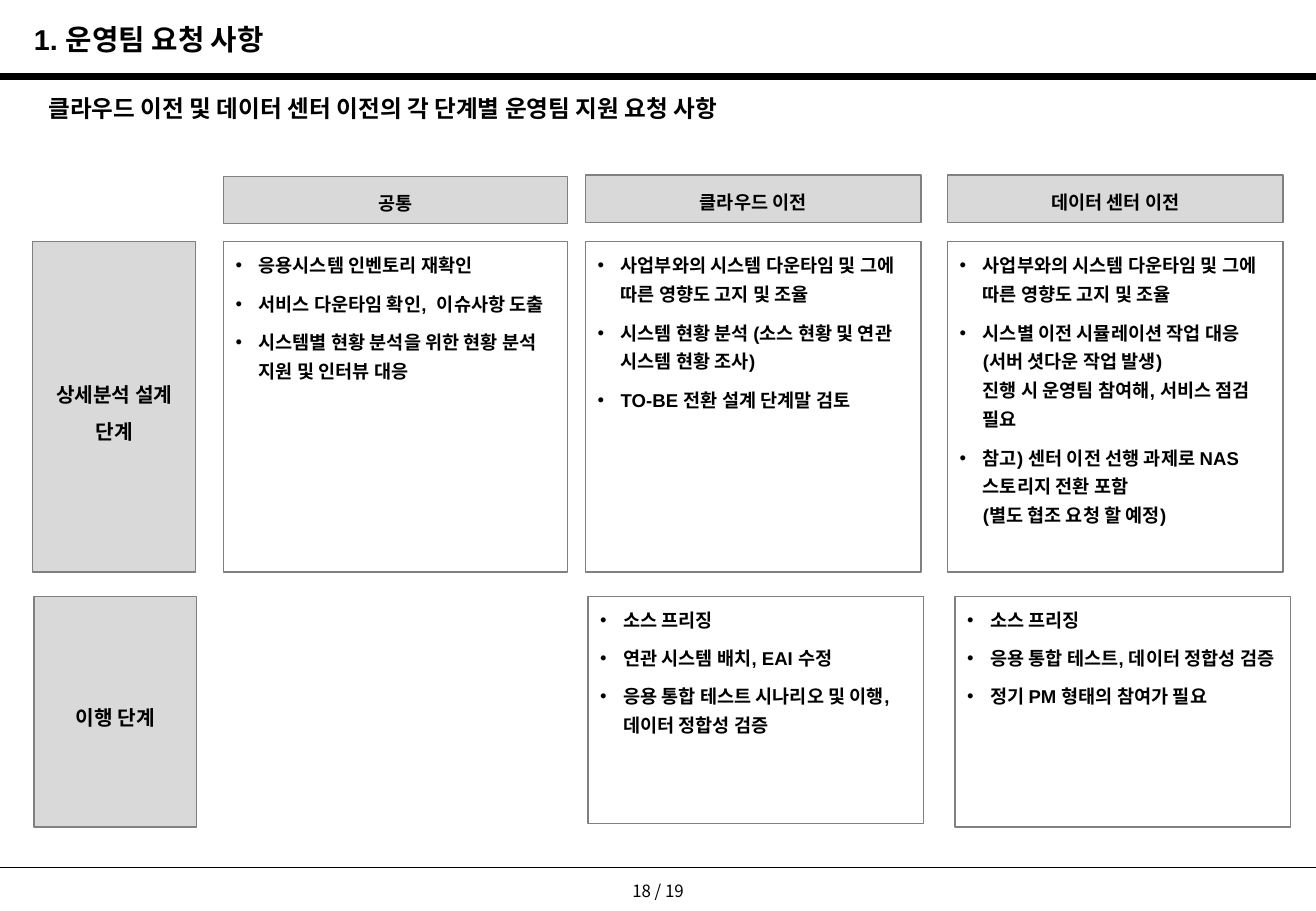
from lxml.etree import SubElement
from pptx import Presentation
from pptx.dml.color import RGBColor
from pptx.enum.shapes import MSO_CONNECTOR, MSO_SHAPE
from pptx.enum.text import MSO_ANCHOR, PP_ALIGN
from pptx.oxml import parse_xml
from pptx.oxml.ns import nsdecls, qn
from pptx.util import Inches, Pt

COLORS = {"text": "000000", "border": "808080", "header": "D9D9D9", "body": "FFFFFF"}
KOREAN = "Noto Sans CJK KR"


def write(tf, lines, size, font="Arial", bold=True, align=PP_ALIGN.LEFT,
          spacing=None, before=0, bullets=False):
    """Fill a text frame with one equally styled paragraph per line."""
    tf.word_wrap = True
    for i, line in enumerate(lines):
        p = tf.add_paragraph() if i else tf.paragraphs[0]
        p.text = line
        p.alignment = align
        p.space_before = Pt(before)
        if spacing:
            p.line_spacing = spacing
        p.font.size = Pt(size)
        p.font.bold = bold
        p.font.color.rgb = RGBColor.from_string(COLORS["text"])
        p.font.name = font
        pPr = p._p.get_or_add_pPr()
        defaults = pPr.find(qn("a:defRPr"))
        SubElement(defaults, qn("a:ea"), typeface=KOREAN)
        if bullets:
            pPr.set("marL", str(Inches(0.19)))
            pPr.set("indent", str(Inches(-0.19)))
            defaults.addprevious(parse_xml(f'<a:buFont {nsdecls("a")} typeface="Arial"/>'))
            defaults.addprevious(parse_xml(f'<a:buChar {nsdecls("a")} char="•"/>'))


def add_box(left, top, width, height, fill):
    """Add a grey-bordered rectangle and return its text frame."""
    sp = s.shapes.add_shape(MSO_SHAPE.RECTANGLE, Inches(left), Inches(top),
                            Inches(width), Inches(height))
    sp.shadow.inherit = False
    sp.fill.solid()
    sp.fill.fore_color.rgb = RGBColor.from_string(COLORS[fill])
    sp.line.color.rgb = RGBColor.from_string(COLORS["border"])
    sp.line.width = Pt(0.75)
    return sp.text_frame


prs = Presentation()
prs.slide_width, prs.slide_height = Inches(10.83), Inches(7.5)
s = prs.slides.add_slide(prs.slide_layouts[6])

# Rules under the title and above the page number
for y, weight in [(0.63, 4.5), (7.14, 0.75)]:
    rule = s.shapes.add_connector(MSO_CONNECTOR.STRAIGHT, 0, Inches(y),
                                  prs.slide_width, Inches(y))
    rule.line.color.rgb = RGBColor.from_string(COLORS["text"])
    rule.line.width = Pt(weight)
    SubElement(rule._element.spPr, qn("a:effectLst"))

# Title, subtitle and page number
texts = [
    ((0.18, 0.13, 2.32, 0.39), "1. 운영팀 요청 사항", dict(size=17)),
    ((0.3, 0.72, 10.32, 0.51),
     "클라우드 이전 및 데이터 센터 이전의 각 단계별 운영팀 지원 요청 사항",
     dict(size=14, font=KOREAN, before=2.8)),
    ((4.95, 7.2, 0.93, 0.27), "18 / 19",
     dict(size=10, font=KOREAN, bold=False, align=PP_ALIGN.CENTER, before=5)),
]
for place, text, style in texts:
    tf = s.shapes.add_textbox(*map(Inches, place)).text_frame
    write(tf, [text], **style)
    if text.startswith("1."):
        tf.word_wrap = False

# Column headers and stage labels
labels = [
    ((1.84, 1.45, 2.83, 0.39), "공통", 11, 1.3),
    ((4.82, 1.44, 2.76, 0.39), "클라우드 이전", 11, 1.3),
    ((7.8, 1.44, 2.76, 0.39), "데이터 센터 이전", 11, 1.3),
    ((0.27, 1.99, 1.34, 2.72), "상세분석 설계 단계", 12, 1.5),
    ((0.28, 4.91, 1.34, 1.9), "이행 단계", 12, 1.5),
]
for place, text, size, spacing in labels:
    tf = add_box(*place, "header")
    tf.vertical_anchor = MSO_ANCHOR.MIDDLE
    write(tf, [text], size, align=PP_ALIGN.CENTER, spacing=spacing, before=size / 2)

# Requests for each stage and column
downtime = "사업부와의 시스템 다운타임 및 그에 따른 영향도 고지 및 조율"
requests = [
    ((1.84, 1.99, 2.83, 2.72), [
        "응용시스템 인벤토리 재확인",
        "서비스 다운타임 확인,  이슈사항 도출",
        "시스템별 현황 분석을 위한 현황 분석 지원 및 인터뷰 대응"]),
    ((4.82, 1.99, 2.76, 2.72), [
        downtime,
        "시스템 현황 분석 (소스 현황 및 연관 시스템 현황 조사)",
        "TO-BE 전환 설계 단계말 검토"]),
    ((7.8, 1.99, 2.76, 2.72), [
        downtime,
        "시스별 이전 시뮬레이션 작업 대응 (서버 셧다운 작업 발생)\n"
        "진행 시 운영팀 참여해, 서비스 점검 필요",
        "참고) 센터 이전 선행 과제로 NAS 스토리지 전환 포함\n(별도 협조 요청 할 예정)"]),
    ((4.84, 4.91, 2.76, 1.87), [
        "소스 프리징",
        "연관 시스템 배치, EAI 수정",
        "응용 통합 테스트 시나리오 및 이행, 데이터 정합성 검증"]),
    ((7.86, 4.91, 2.76, 1.9), [
        "소스 프리징",
        "응용 통합 테스트, 데이터 정합성 검증",
        "정기 PM 형태의 참여가 필요"]),
]
for place, lines in requests:
    tf = add_box(*place, "body")
    tf.vertical_anchor = MSO_ANCHOR.TOP
    write(tf, lines, 11, spacing=1.3, before=5.5, bullets=True)

prs.save("out.pptx")
